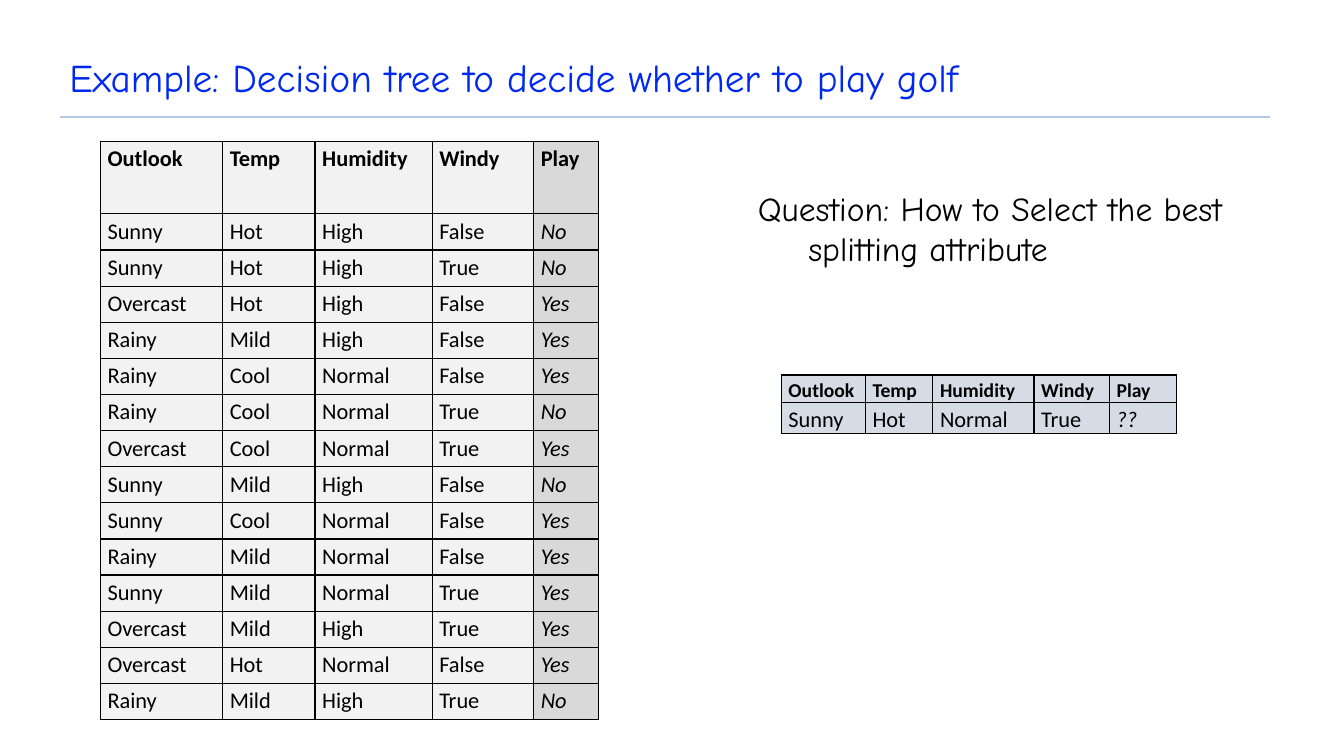
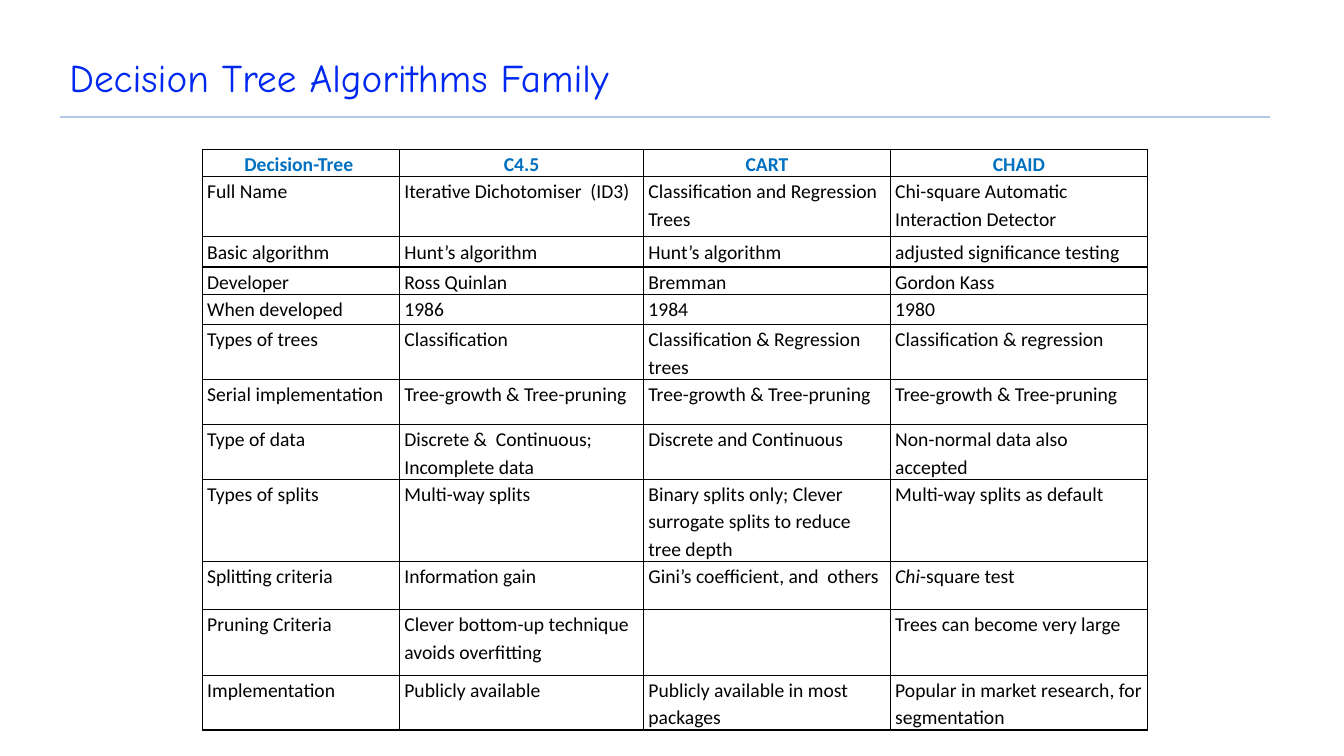
"""Build two slides on decision trees: a golf example and a family of algorithms."""
from lxml.etree import SubElement
from pptx import Presentation
from pptx.dml.color import RGBColor as RGB
from pptx.enum.shapes import MSO_CONNECTOR as CONN
from pptx.enum.text import MSO_ANCHOR as ANCHOR, PP_ALIGN as ALIGN
from pptx.oxml.ns import qn
from pptx.util import Cm, Pt

COLORS = {
    "title": "0028F0",
    "rule": "B4C7E7",
    "text": "000000",
    "border": "000000",
    "data": "F2F2F2",
    "target": "D9D9D9",
    "query": "D6DCE5",
    "heading": "0070C0",
}
TITLE_FONT, TABLE_FONT = "Comic Neue", "Calibri"

prs = Presentation()
prs.slide_width, prs.slide_height = Cm(33.87), Cm(19.05)


def new_slide(title):
    s = prs.slides.add_slide(prs.slide_layouts[6])
    rule = s.shapes.add_connector(CONN.STRAIGHT, Cm(1.5), Cm(2.95), Cm(32), Cm(2.95))
    rule.line.color.rgb = RGB.from_string(COLORS["rule"])
    rule.line.width = Pt(2)
    SubElement(rule.element.spPr, qn("a:effectLst"))
    tf = s.shapes.add_textbox(Cm(1.5), Cm(0.89), Cm(25.7), Cm(1.78)).text_frame
    tf.word_wrap = True
    tf.vertical_anchor = ANCHOR.BOTTOM
    p = tf.paragraphs[0]
    p.text = title
    p.line_spacing = 0.9
    font = p.runs[0].font
    font.name, font.size = TITLE_FONT, Pt(28)
    font.color.rgb = RGB.from_string(COLORS["title"])
    return s


def add_grid(s, left, top, widths, heights, rows, sizes, inset, fills, heading="text"):
    frame = s.shapes.add_table(len(rows), len(widths), Cm(left), Cm(top),
                               Cm(sum(widths)), Cm(sum(heights)))
    table = frame.table
    table.first_row = table.horz_banding = False
    for column, width in zip(table.columns, widths):
        column.width = Cm(width)
    for i, (row, height, texts) in enumerate(zip(table.rows, heights, rows)):
        row.height = Cm(height)
        is_head = i == 0
        for cell, text, fill in zip(row.cells, texts, fills):
            cell.margin_left = cell.margin_right = Cm(inset)
            cell.margin_top = cell.margin_bottom = 0
            for side in ("a:lnL", "a:lnR", "a:lnT", "a:lnB"):
                ln = SubElement(cell._tc.get_or_add_tcPr(), qn(side), w=str(Pt(1)))
                SubElement(SubElement(ln, qn("a:solidFill")), qn("a:srgbClr"),
                           val=COLORS["border"])
            if fill:
                cell.fill.solid()
                cell.fill.fore_color.rgb = RGB.from_string(COLORS[fill])
            else:
                cell.fill.background()
            p = cell.text_frame.paragraphs[0]
            p.line_spacing, p.space_after = 1.15, Pt(10)
            for part in filter(None, text.split("|")):
                r = p.add_run()
                r.text = part
                r.font.name = TABLE_FONT
                r.font.size = Pt(sizes[0] if is_head else sizes[1])
                r.font.bold = is_head
                r.font.color.rgb = RGB.from_string(COLORS[heading if is_head else "text"])
    return table


s = new_slide("Example: Decision tree to decide whether to play golf")

tf = s.shapes.add_textbox(Cm(18.85), Cm(4.6), Cm(12.9), Cm(2.31)).text_frame
tf.word_wrap = True
p = tf.paragraphs[0]
p.text = "Question: How to Select the best splitting attribute"
pPr = p._p.get_or_add_pPr()
pPr.set("marL", str(Cm(1.27)))
pPr.set("indent", str(-Cm(1.27)))
font = p.runs[0].font
font.name, font.size = TITLE_FONT, Pt(24)
font.color.rgb = RGB.from_string(COLORS["text"])

attributes = ["Outlook", "Temp", "Humidity", "Windy", "Play"]
days = [
    "Sunny Hot High False No",
    "Sunny Hot High True No",
    "Overcast Hot High False Yes",
    "Rainy Mild High False Yes",
    "Rainy Cool Normal False Yes",
    "Rainy Cool Normal True No",
    "Overcast Cool Normal True Yes",
    "Sunny Mild High False No",
    "Sunny Cool Normal False Yes",
    "Rainy Mild Normal False Yes",
    "Sunny Mild Normal True Yes",
    "Overcast Mild High True Yes",
    "Overcast Hot Normal False Yes",
    "Rainy Mild High True No",
]
golf = add_grid(s, 2.53, 3.56, [3.08, 2.33, 2.95, 2.56, 1.63], [1.83] + [0.91] * len(days),
                [attributes] + [day.split() for day in days], (16, 16), 0.18,
                ["data"] * 4 + ["target"])
query = add_grid(s, 19.69, 9.45, [2.12, 1.7, 2.55, 1.9, 1.7], [0.69, 0.79],
                 [attributes, "Sunny Hot Normal True ??".split()], (14, 16), 0.18,
                 ["query"] * 5)
for table in (golf, query):
    for i in range(1, len(table.rows)):
        table.cell(i, 4).text_frame.paragraphs[0].runs[0].font.italic = True

s = new_slide("Decision Tree Algorithms Family")
family = [
    ["Decision-Tree ", "C4.5", "CART", "CHAID"],
    ["Full Name", "Iterative Dichotomiser  (ID3)", "Classification and Regression Trees",
     "Chi-square Automatic Interaction Detector"],
    ["Basic algorithm", "Hunt’s algorithm", "Hunt’s algorithm",
     "adjusted significance testing"],
    ["Developer", "Ross Quinlan", "Bremman", "Gordon Kass"],
    ["When developed", "1986", "1984", "1980"],
    ["Types of trees", "Classification", "Classification & Regression trees",
     "Classification & regression"],
    ["Serial implementation"] + ["Tree-growth & Tree-pruning"] * 3,
    ["Type of data", "Discrete &  Continuous; Incomplete data",
     "Discrete and Continuous", "Non-normal data also accepted"],
    ["Types of splits", "Multi-way splits",
     "Binary splits only; Clever surrogate splits to reduce tree depth",
     "Multi-way splits as default"],
    ["Splitting criteria", "Information gain", "Gini’s coefficient, and  others",
     "Chi|-square test"],
    ["Pruning Criteria", "Clever bottom-up technique avoids overfitting", "",
     "Trees can become very large"],
    ["Implementation", "Publicly available", "Publicly available in most packages",
     "Popular in market research, for segmentation"],
]
heights = [0.69, 1.52, 0.76, 0.69, 0.76, 1.38, 1.14, 1.38, 2.07, 1.22, 1.65, 1.38]
table = add_grid(s, 5.1, 3.76, [4.97, 6.15, 6.22, 6.48], heights, family, (14, 14), 0.12,
                 [None] * 4, "heading")
for cell in table.rows[0].cells:
    cell.text_frame.paragraphs[0].alignment = ALIGN.CENTER
table.cell(9, 3).text_frame.paragraphs[0].runs[0].font.italic = True

prs.save("out.pptx")
